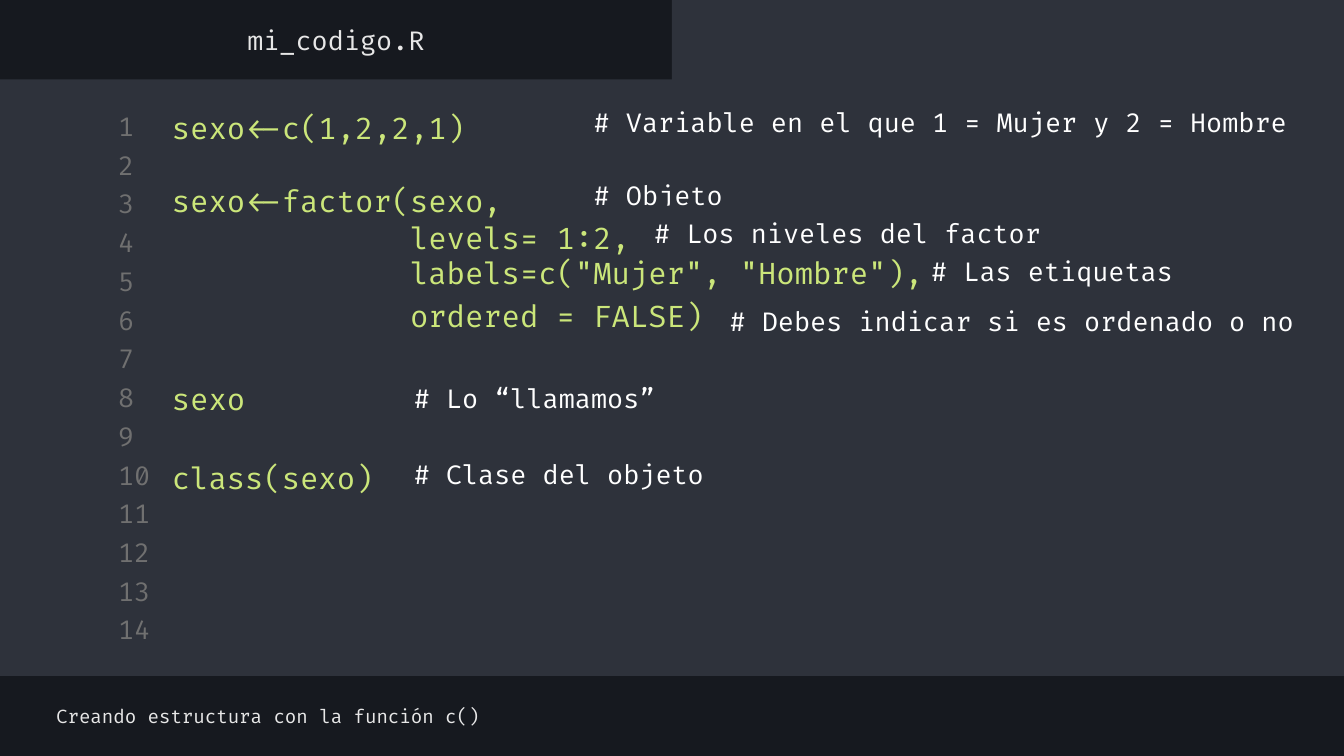
from pptx import Presentation
from pptx.dml.color import RGBColor
from pptx.enum.shapes import MSO_SHAPE as SHAPE
from pptx.enum.text import MSO_ANCHOR as ANCHOR, MSO_AUTO_SIZE as AUTO_SIZE, PP_ALIGN as ALIGN
from pptx.util import Pt

DARK = RGBColor(0x16, 0x19, 0x1F)
PANEL = RGBColor(0x2E, 0x32, 0x3B)
GREY = RGBColor(0x70, 0x70, 0x70)
GREEN = RGBColor(0xCB, 0xE6, 0x7A)
LIGHT = RGBColor(0xE7, 0xE7, 0xE7)
WHITE = RGBColor(0xFF, 0xFF, 0xFF)
FONT = "Fira Code"

INDENT = " " * len("sexo<-factor(")
# Text and top edge, relative to the editor
CODE = [
    ("sexo<-c(1,2,2,1)", 14.4),
    ("sexo<-factor(sexo,", 53.3),
    (INDENT + "levels= 1:2,", 73.4),
    (INDENT + 'labels=c("Mujer", "Hombre"),', 92.1),
    (INDENT + "ordered = FALSE)", 115.2),
    ("sexo", 159.5),
    ("class(sexo)", 202),
]
# Text, left edge, top edge and width, relative to the editor
COMMENTS = [
    ("# Variable en el que 1 = Mujer y 2 = Hombre", 311, 8.6, 387.4),
    ("# Objeto", 311, 47.5, 396.7),
    ("# Los niveles del factor", 343.4, 67.7, 364.3),
    ("# Las etiquetas", 491.8, 88.5, 225.4),
    ("# Debes indicar si es ordenado o no", 383.8, 115.2, 324),
    ("# Lo “llamamos”", 214.6, 156.2, 203.8),
    ("# Clase del objeto", 214.6, 197.3, 203.8),
]


def write(sp, text, size, color, align=ALIGN.LEFT):
    tf = sp.text_frame
    tf.word_wrap = True
    tf.auto_size = AUTO_SIZE.NONE
    tf.vertical_anchor = ANCHOR.MIDDLE
    tf.margin_left = tf.margin_right = Pt(7.2)
    tf.margin_top = tf.margin_bottom = 0
    p = tf.paragraphs[0]
    p.text = text
    p.alignment = align
    p.font.name = FONT
    p.font.size = Pt(size)
    p.font.color.rgb = color


def add_text(slide, x, y, w, h, text, size, color):
    sp = slide.shapes.add_textbox(Pt(x), Pt(y), Pt(w), Pt(h))
    write(sp, text, size, color)


def add_panel(slide, x, y, w, h):
    sp = slide.shapes.add_shape(SHAPE.RECTANGLE, Pt(x), Pt(y), Pt(w), Pt(h))
    sp.shadow.inherit = False
    sp.fill.solid()
    sp.fill.fore_color.rgb = PANEL
    sp.line.fill.background()
    return sp


def add_tab_bar(slide, x, y, w, h):
    """Put the file name on the left half and the empty bar on the right."""
    add_panel(slide, x + w / 2, y, w / 2, h + 4)
    title = slide.shapes.title
    title.left, title.top = Pt(x), Pt(y + 7.2)
    title.width, title.height = Pt(w / 2), Pt(28)
    write(title, "mi_codigo.R", 14, LIGHT, ALIGN.CENTER)


def add_editor(slide, x, y, w, h):
    add_panel(slide, x, y, w, h)
    for i in range(14):
        add_text(slide, x + 56.2, y + 16.5 + i * 20.75, 34, 17, str(i + 1), 14, GREY)
    for text, top in CODE:
        add_text(slide, x + 85, y + top, 548.6, 23, text, 16, GREEN)
    for text, left, top, width in COMMENTS:
        sp = add_panel(slide, x + left, y + top, width, 28.8)
        write(sp, text, 14, WHITE)


def add_footer(slide, x, y):
    add_text(slide, x + 23, y + 7.2, 383, 28, "Creando estructura con la función c()", 10, LIGHT)


def main():
    prs = Presentation()
    prs.slide_width, prs.slide_height = Pt(720), Pt(405)
    slide = prs.slides.add_slide(prs.slide_layouts[5])
    fill = slide.background.fill
    fill.solid()
    fill.fore_color.rgb = DARK
    add_tab_bar(slide, 0, 0, 720, 42.5)
    add_editor(slide, 0, 42.5, 720, 319.7)
    add_footer(slide, 0, 362.2)
    prs.save("out.pptx")


if __name__ == "__main__":
    main()
